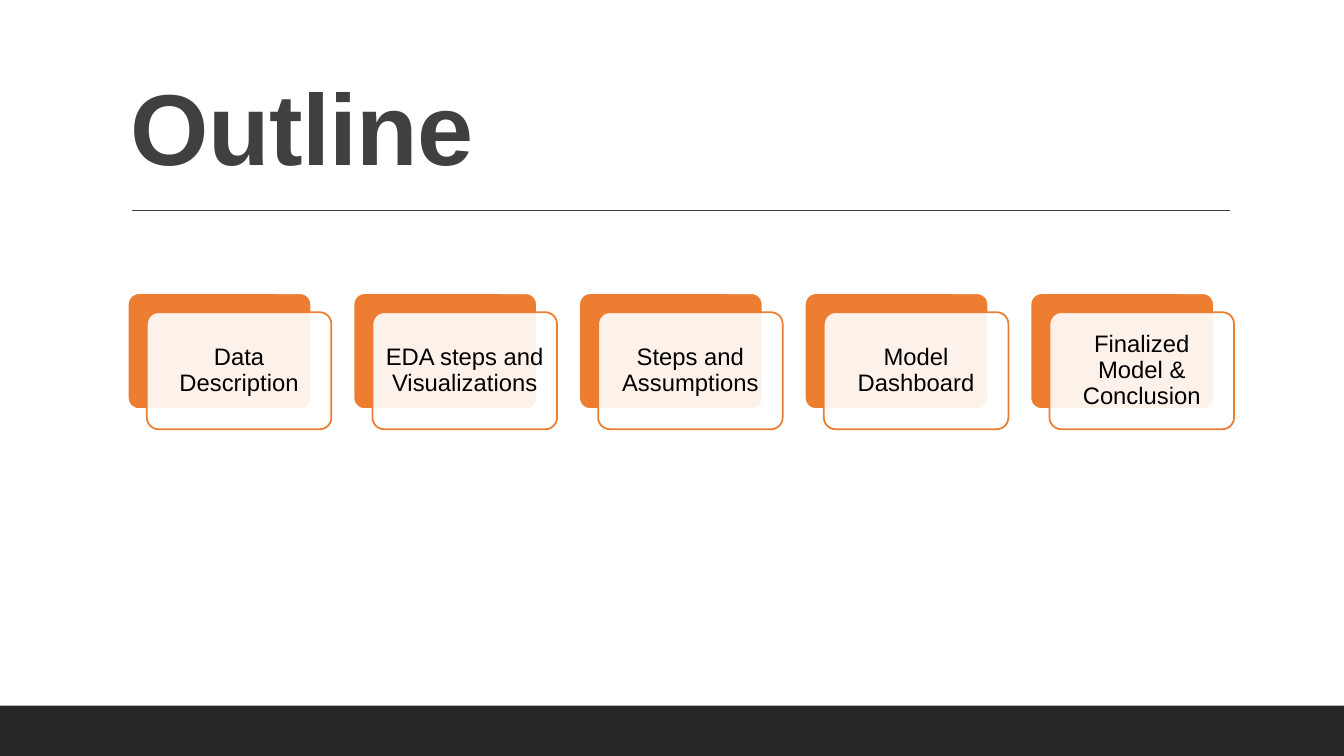
from pptx import Presentation
from pptx.dml.color import RGBColor
from pptx.enum.shapes import MSO_CONNECTOR, MSO_SHAPE
from pptx.enum.text import MSO_ANCHOR, PP_ALIGN
from pptx.oxml.ns import qn
from pptx.util import Pt
from lxml.etree import SubElement

TITLE = "Outline"
TOPICS = [
    "Data Description",
    "EDA steps and Visualizations",
    "Steps and Assumptions",
    "Model Dashboard",
    "Finalized Model & Conclusion",
]
COLORS = {
    "white": "FFFFFF",
    "black": "000000",
    "title": "404040",
    "footer": "262626",
    "accent": "ED7D31",
}
FONT = "Arial"
SLIDE_W, SLIDE_H = 960, 540
FOOTER_H = 36
CARD_LEFT, CARD_TOP, CARD_W, CARD_H = 90.9, 209, 131.8, 83.6
CARD_PITCH, CARD_SHIFT = 161.2, 14


def rgb(name):
    return RGBColor.from_string(COLORS[name])


def add_block(s, kind, x, y, w, h, fill, line=None, line_w=0):
    sp = s.shapes.add_shape(kind, Pt(x), Pt(y), Pt(w), Pt(h))
    sp.shadow.inherit = False
    sp.fill.solid()
    sp.fill.fore_color.rgb = rgb(fill)
    if line:
        sp.line.color.rgb = rgb(line)
        sp.line.width = Pt(line_w)
    else:
        sp.line.fill.background()
    return sp


def add_card(s, x, y, fill, line, line_w):
    sp = add_block(s, MSO_SHAPE.ROUNDED_RECTANGLE, x, y, CARD_W, CARD_H, fill, line, line_w)
    sp.adjustments[0] = 0.1
    return sp


def set_text(sp, text, size, color, align, anchor, inset):
    tf = sp.text_frame
    tf.text = text
    tf.word_wrap = True
    tf.vertical_anchor = anchor
    tf.margin_left = tf.margin_right = tf.margin_top = tf.margin_bottom = Pt(inset)
    p = tf.paragraphs[0]
    p.alignment = align
    p.line_spacing = 0.9
    r = p.runs[0]
    r.font.name = FONT
    r.font.size = Pt(size)
    r.font.color.rgb = rgb(color)
    return r


def add_title(s):
    sp = s.shapes.add_textbox(Pt(93.6), Pt(56), Pt(777.6), Pt(75))
    r = set_text(sp, TITLE, 72, "title", PP_ALIGN.LEFT, MSO_ANCHOR.TOP, 0)
    r.font.bold = True
    r.font._element.set("spc", "-50")


def add_rule(s):
    ln = s.shapes.add_connector(MSO_CONNECTOR.STRAIGHT, Pt(94.3), Pt(150.3), Pt(878.8), Pt(150.3))
    ln.line.color.rgb = rgb("title")
    ln.line.width = Pt(1)
    SubElement(ln._element.spPr, qn("a:effectLst"))


def add_topic(s, i, topic):
    x = CARD_LEFT + i * CARD_PITCH
    add_card(s, x, CARD_TOP, "accent", "white", 2)
    front = add_card(s, x + CARD_SHIFT, CARD_TOP + CARD_SHIFT, "white", "accent", 1.25)
    clr = front._element.spPr.find(qn("a:solidFill")).find(qn("a:srgbClr"))
    SubElement(clr, qn("a:alpha")).set("val", "90000")
    set_text(front, topic, 17, "black", PP_ALIGN.CENTER, MSO_ANCHOR.MIDDLE, 5)


def main():
    prs = Presentation()
    prs.slide_width, prs.slide_height = Pt(SLIDE_W), Pt(SLIDE_H)
    s = prs.slides.add_slide(prs.slide_layouts[6])
    add_title(s)
    add_rule(s)
    add_block(s, MSO_SHAPE.RECTANGLE, 0, SLIDE_H - FOOTER_H, SLIDE_W, FOOTER_H, "footer")
    for i, topic in enumerate(TOPICS):
        add_topic(s, i, topic)
    prs.save("out.pptx")


if __name__ == "__main__":
    main()
